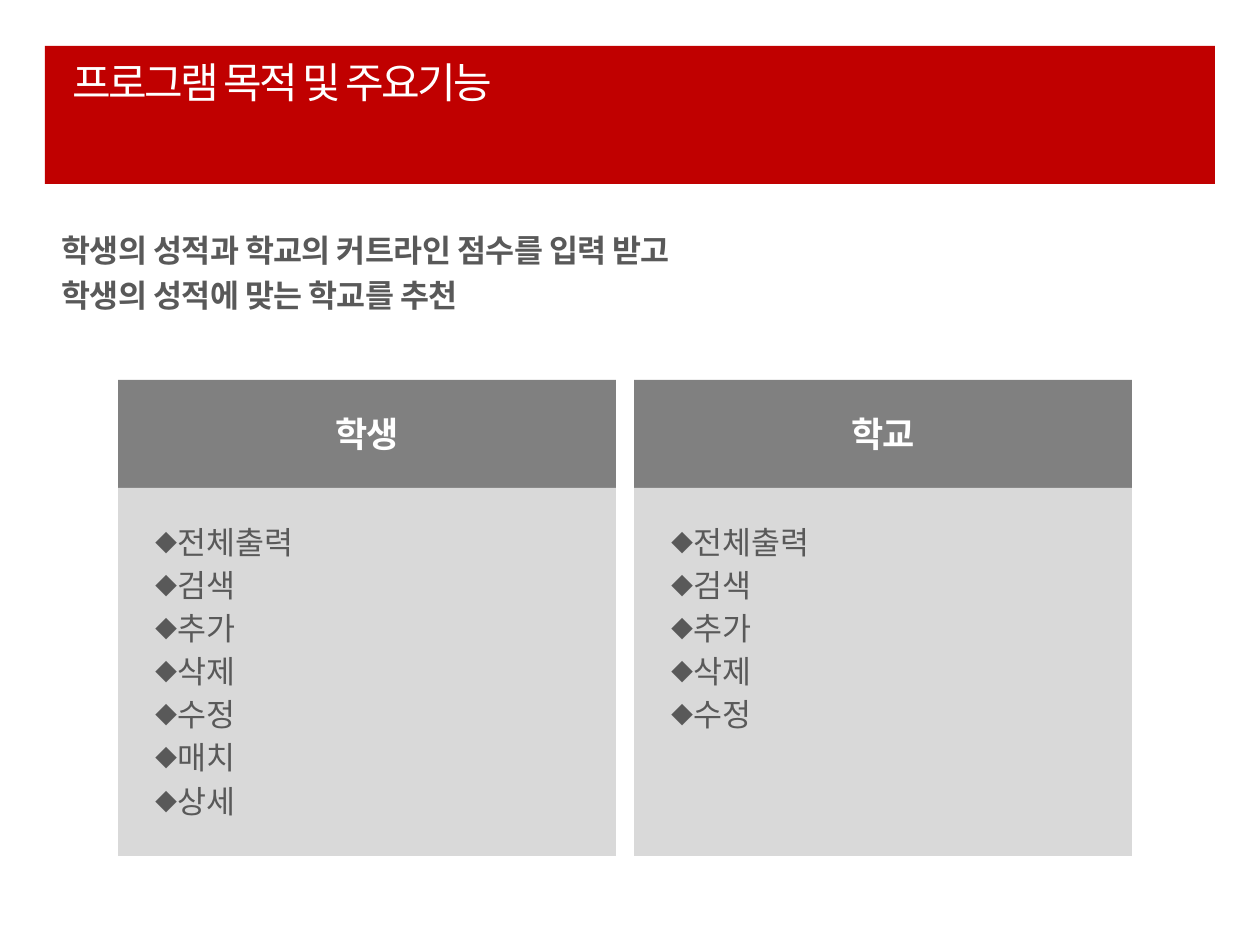
from pptx import Presentation
from pptx.dml.color import RGBColor
from pptx.enum.shapes import MSO_SHAPE
from pptx.enum.text import MSO_ANCHOR as ANCHOR, MSO_AUTO_SIZE as FIT, PP_ALIGN as ALIGN
from pptx.oxml.ns import qn
from pptx.util import Emu, Pt
from lxml import etree

FONT = "Noto Sans CJK KR"
PX = 914400 / 126


def box(shapes, x, y, w, h, fill):
    sp = shapes.add_shape(MSO_SHAPE.RECTANGLE, *[Emu(round(v * PX)) for v in (x, y, w, h)])
    sp.shadow.inherit = False
    sp.fill.solid()
    sp.fill.fore_color.rgb = RGBColor.from_string(fill)
    sp.line.fill.background()
    return sp


def write(tf, lines, color, size, bold=False, spc=0, bullet=False, **para):
    for i, line in enumerate(lines):
        p = tf.paragraphs[0] if i == 0 else tf.add_paragraph()
        for key, value in para.items():
            setattr(p, key, value)
        if bullet:
            pPr = p._p.get_or_add_pPr()
            pPr.set("marL", str(round(46 * PX)))
            pPr.set("indent", str(round(-21 * PX)))
            etree.SubElement(pPr, qn("a:buSzPct")).set("val", "70000")
            etree.SubElement(pPr, qn("a:buFont")).set("typeface", FONT)
            etree.SubElement(pPr, qn("a:buChar")).set("char", "◆")
        r = p.add_run()
        r.text = line
        for key, value in {"name": FONT, "size": Pt(size), "bold": bold}.items():
            setattr(r.font, key, value)
        r.font.color.rgb = RGBColor.from_string(color)
        rPr = r._r.get_or_add_rPr()
        rPr.set("spc", str(spc))
        etree.SubElement(rPr, qn("a:ea")).set("typeface", FONT)


prs = Presentation()
prs.slide_width, prs.slide_height = Emu(round(1260 * PX)), Emu(round(945 * PX))
s = prs.slides.add_slide(prs.slide_layouts[5])

box(s.shapes, 45, 46, 1170, 138, "C00000")

intro = s.shapes.add_textbox(*[Emu(round(v * PX)) for v in (49, 217, 969, 98)])
intro.text_frame.word_wrap = True
intro.text_frame.auto_size = FIT.SHAPE_TO_FIT_TEXT
write(intro.text_frame, ["학생의 성적과 학교의 커트라인 점수를 입력 받고", "학생의 성적에 맞는 학교를 추천"],
      "595959", 18, bold=True, spc=-30, line_spacing=1.2)

title = s.shapes.title
for key, value in {"left": 60, "top": 50, "width": 1134, "height": 138}.items():
    setattr(title, key, Emu(round(value * PX)))
title.text_frame.auto_size = FIT.NONE
title.text_frame.vertical_anchor = ANCHOR.TOP
write(title.text_frame, ["프로그램 목적 및 주요기능"], "FFFFFF", 24, spc=-150, alignment=ALIGN.LEFT)
s.shapes._spTree.append(title._element)

features = ["전체출력", "검색", "추가", "삭제", "수정"]
columns = [("학생", features + ["매치", "상세"]), ("학교", features)]
for i, (name, items) in enumerate(columns):
    x = 118 + i * 516
    group = s.shapes.add_group_shape()

    head = box(group.shapes, x, 380, 498, 108, "808080")
    head.text_frame.vertical_anchor = ANCHOR.MIDDLE
    write(head.text_frame, [name], "FFFFFF", 20, bold=True, spc=-50, alignment=ALIGN.CENTER)

    body = box(group.shapes, x, 488, 498, 368, "D9D9D9")
    body.text_frame.vertical_anchor = ANCHOR.TOP
    body.text_frame.margin_top = Emu(round(30 * PX))
    write(body.text_frame, items, "595959", 18, bullet=True, alignment=ALIGN.LEFT, line_spacing=1.14)

prs.save("out.pptx")
